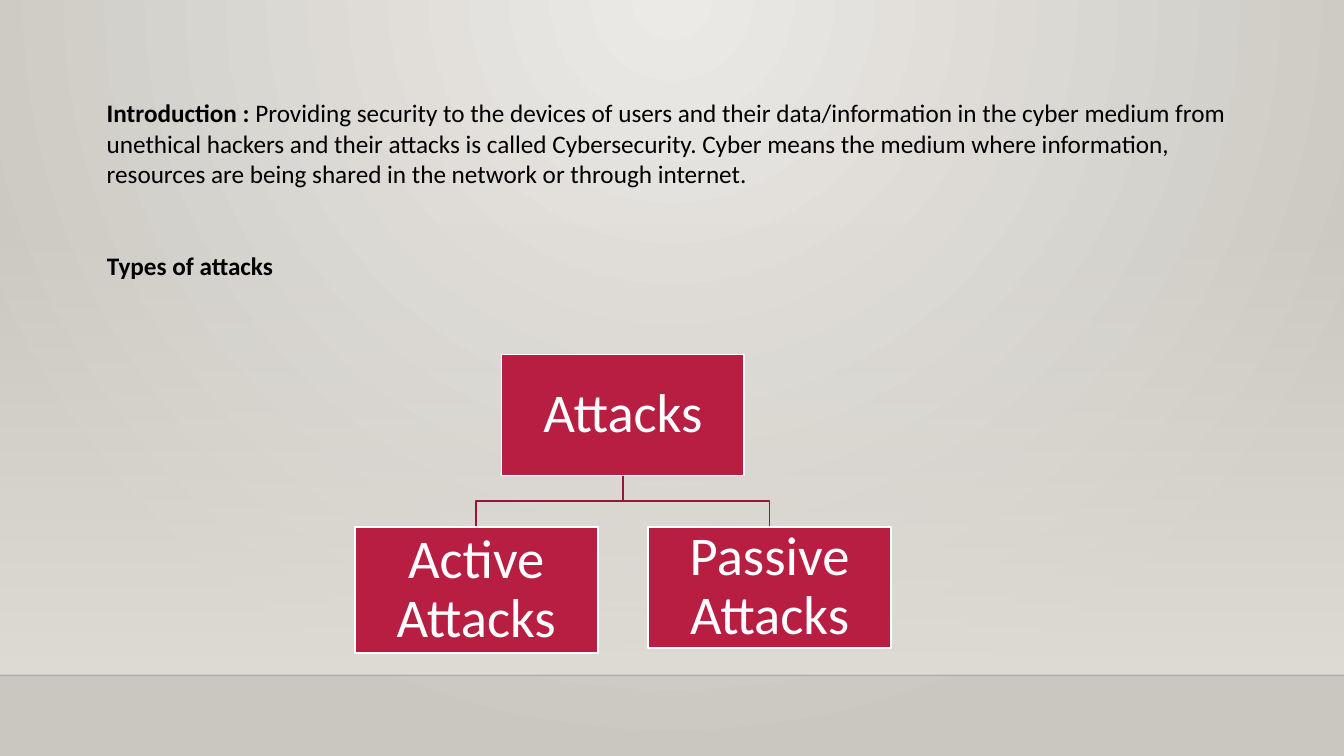
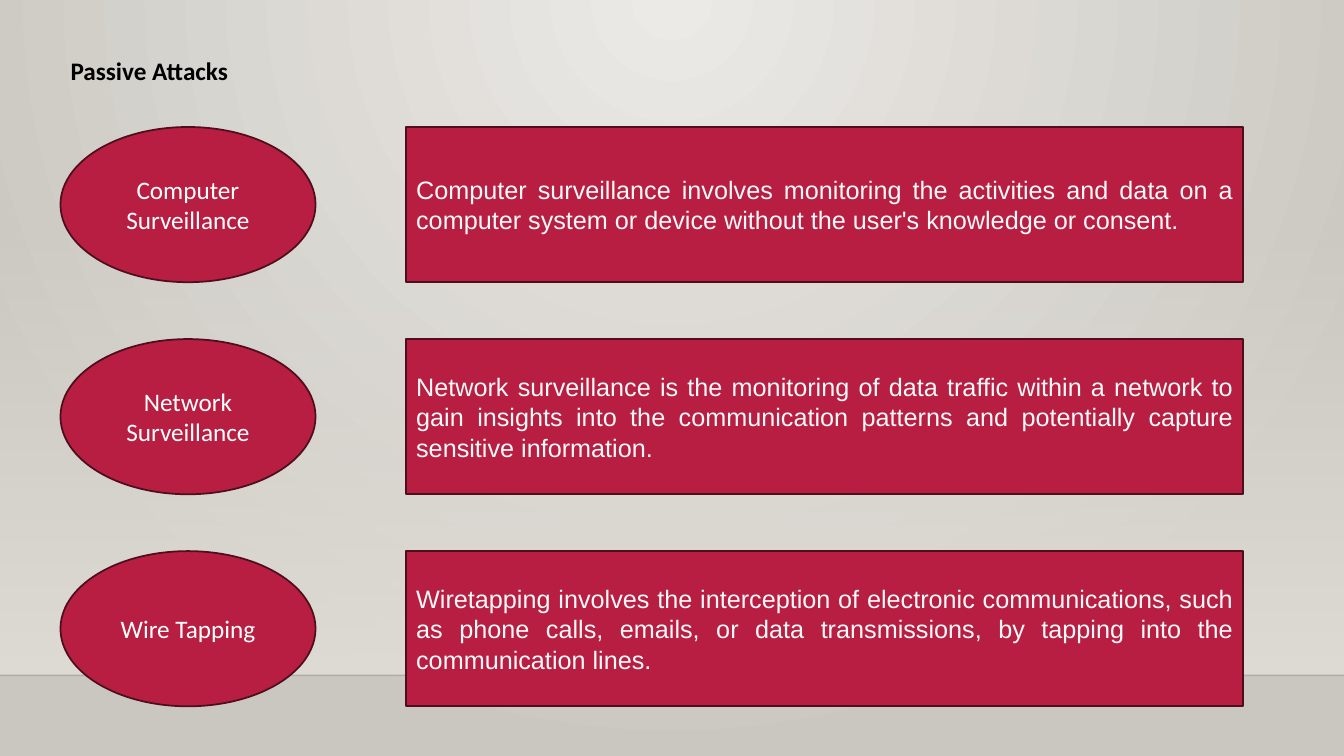
from dataclasses import dataclass

from lxml import etree
from pptx import Presentation
from pptx.dml.color import RGBColor
from pptx.enum.shapes import MSO_CONNECTOR, MSO_SHAPE
from pptx.enum.text import MSO_ANCHOR, MSO_AUTO_SIZE, PP_ALIGN
from pptx.oxml.ns import qn
from pptx.util import Inches, Pt

SLIDE_W, SLIDE_H = Inches(13.33), Inches(7.5)
TITLE_ONLY = 5

RECTANGLE, OVAL = MSO_SHAPE.RECTANGLE, MSO_SHAPE.OVAL
STRAIGHT = MSO_CONNECTOR.STRAIGHT
LEFT, CENTER, JUSTIFY = PP_ALIGN.LEFT, PP_ALIGN.CENTER, PP_ALIGN.JUSTIFY
TOP, MIDDLE = MSO_ANCHOR.TOP, MSO_ANCHOR.MIDDLE

BLACK = RGBColor(0x00, 0x00, 0x00)
WHITE = RGBColor(0xFF, 0xFF, 0xFF)
OFF_WHITE = RGBColor(0xF9, 0xF9, 0xF9)
CRIMSON = RGBColor(0xB7, 0x1E, 0x42)
DARK_CRIMSON = RGBColor(0x50, 0x0D, 0x1D)
BRANCH_CRIMSON = RGBColor(0x93, 0x18, 0x35)
GLOW = RGBColor(0xEC, 0xEA, 0xE7)
STONE = RGBColor(0xCA, 0xC7, 0xC1)
WALL = RGBColor(0xDF, 0xDB, 0xD5)
HORIZON = RGBColor(0x00, 0x00, 0x01)

OUTLINE_WIDTH = Pt(1.25)


@dataclass(frozen=True)
class Area:
    """A rectangle in percent of the slide's width and height."""
    x: float
    y: float
    w: float
    h: float

    def emu(self) -> tuple[int, int, int, int]:
        return across(self.x), down(self.y), across(self.w), down(self.h)


@dataclass(frozen=True)
class Attack:
    name: str
    meaning: str


PASSIVE_ATTACKS = [
    Attack("Computer Surveillance",
           "Computer surveillance involves monitoring the activities and data on a "
           "computer system or device without the user's knowledge or consent."),
    Attack("Network Surveillance",
           "Network surveillance is the monitoring of data traffic within a network to "
           "gain insights into the communication patterns and potentially capture "
           "sensitive information."),
    Attack("Wire Tapping",
           "Wiretapping involves the interception of electronic communications, such as "
           "phone calls, emails, or data transmissions, by tapping into the "
           "communication lines."),
]
INTRODUCTION = (
    "Providing security to the devices of users and their data/information in the cyber "
    "medium from unethical hackers and their attacks is called Cybersecurity. Cyber means "
    "the medium where information, resources are being shared in the network or through "
    "internet."
)


def across(percent: float) -> int:
    return round(SLIDE_W * percent / 100)


def down(percent: float) -> int:
    return round(SLIDE_H * percent / 100)


def set_alpha(fill_element, percent: int) -> None:
    """Set the opacity of the first colour inside the element."""
    color = next(fill_element.iter(qn("a:srgbClr")))
    etree.SubElement(color, qn("a:alpha")).set("val", str(percent * 1000))


def write(frame, text: str, *, size=18, font="Calibri", color=BLACK, bold=False,
          align=LEFT, anchor=TOP, wrap=True, spacing=None) -> None:
    """Append a formatted run to the frame's first paragraph."""
    frame.word_wrap = wrap
    frame.vertical_anchor = anchor
    paragraph = frame.paragraphs[0]
    paragraph.alignment = align
    if spacing:
        paragraph.line_spacing = spacing
    run = paragraph.add_run()
    run.text = text
    run.font.size, run.font.name, run.font.bold = Pt(size), font, bold
    run.font.color.rgb = color


def add_panel(slide, kind, area: Area, text: str, *, outline, **text_format):
    panel = slide.shapes.add_shape(kind, *area.emu())
    panel.shadow.inherit = False
    panel.fill.solid()
    panel.fill.fore_color.rgb = CRIMSON
    panel.line.color.rgb = outline
    panel.line.width = OUTLINE_WIDTH
    write(panel.text_frame, text, anchor=MIDDLE, **text_format)
    return panel


def add_branch(slide, *corners: tuple[float, float]) -> None:
    """Draw an open outline through the corners, given in percent."""
    start, *rest = [(across(x), down(y)) for x, y in corners]
    builder = slide.shapes.build_freeform(*start)
    builder.add_line_segments(rest, close=False)
    branch = builder.convert_to_shape()
    branch.shadow.inherit = False
    branch.fill.background()
    branch.line.color.rgb = BRANCH_CRIMSON
    branch.line.width = OUTLINE_WIDTH


def add_titled_slide(prs, title: str, area: Area):
    slide = prs.slides.add_slide(prs.slide_layouts[TITLE_ONLY])
    heading = slide.shapes.title
    heading.left, heading.top, heading.width, heading.height = area.emu()
    write(heading.text_frame, title, bold=True, wrap=False)
    heading.text_frame.auto_size = MSO_AUTO_SIZE.SHAPE_TO_FIT_TEXT
    return slide


def set_gradient(fill, first: RGBColor, last: RGBColor) -> None:
    fill.gradient()
    for stop, color in zip(fill.gradient_stops, (first, last)):
        stop.color.rgb = color


def build_backdrop(master, slide) -> None:
    """Give the master its glow, wall and horizon, drawn first on a slide."""
    set_gradient(master.background.fill, GLOW, STONE)
    glow = next(master.element.iter(qn("a:gradFill")))
    for linear in glow.findall(qn("a:lin")):
        glow.remove(linear)
    circle = etree.SubElement(glow, qn("a:path"))
    circle.set("path", "circle")
    focus = etree.SubElement(circle, qn("a:fillToRect"))
    for side, share in {"l": 43, "t": 0, "r": 43, "b": 100}.items():
        focus.set(side, str(share * 1000))

    wall = slide.shapes.add_shape(RECTANGLE, *Area(0, 29.47, 100, 59.87).emu())
    wall.shadow.inherit = False
    wall.line.fill.background()
    set_gradient(wall.fill, WALL, WALL)
    wall.fill.gradient_angle = 270
    set_alpha(wall.element.spPr, 0)

    horizon_y = down(89.33)
    horizon = slide.shapes.add_connector(STRAIGHT, 0, horizon_y, SLIDE_W, horizon_y)
    horizon.line.color.rgb = HORIZON
    horizon.line.width = Pt(1)
    etree.SubElement(horizon.element.spPr, qn("a:effectLst"))
    set_alpha(horizon.element.spPr, 20)

    tree = master.element.cSld.spTree
    for position, part in enumerate((wall, horizon)):
        next(part.element.iter(qn("p:cNvPr"))).set("id", str(101 + position))
        tree.insert(2 + position, part.element)


def build_attack_tree(slide) -> None:
    width, height = 18.08, 16
    center, pitch = 46.35, 21.83
    root_y, branch_y, child_y = 46.9, 66.3, 69.73
    left, right = center - pitch / 2, center + pitch / 2

    for middle in (right, left):
        add_branch(slide, (center, root_y + height), (center, branch_y),
                   (middle, branch_y), (middle, child_y))

    for text, middle, y, h in (("Attacks", center, root_y, height),
                               ("Active Attacks", left, child_y, 16.67),
                               ("Passive Attacks", right, child_y, height)):
        node = add_panel(slide, RECTANGLE, Area(middle - width / 2, y, width, h), text,
                         outline=WHITE, size=39, color=WHITE, align=CENTER, spacing=0.9)
        frame = node.text_frame
        frame.margin_left = frame.margin_right = Inches(0.03)
        frame.margin_top = frame.margin_bottom = Inches(0.03)


def build_introduction(slide) -> None:
    introduction = slide.shapes.add_textbox(*Area(7.2, 12.27, 85.6, 13.47).emu()).text_frame
    write(introduction, "Introduction : ", bold=True)
    write(introduction, INTRODUCTION)
    build_attack_tree(slide)


def build_passive_attacks(slide) -> None:
    first_y, pitch, height = 16.8, 28.05, 20.53
    for row, attack in enumerate(PASSIVE_ATTACKS):
        y = first_y + row * pitch
        add_panel(slide, OVAL, Area(4.5, y, 18.98, height), attack.name,
                  outline=DARK_CRIMSON, color=WHITE, align=CENTER)
        add_panel(slide, RECTANGLE, Area(30.23, y, 62.27, height), attack.meaning,
                  outline=DARK_CRIMSON, font="Arial", color=OFF_WHITE, align=JUSTIFY)


def main() -> None:
    prs = Presentation()
    prs.slide_width, prs.slide_height = SLIDE_W, SLIDE_H
    types = add_titled_slide(prs, "Types of attacks", Area(7.2, 32.4, 14.03, 5.33))
    build_backdrop(prs.slide_master, types)
    build_introduction(types)
    passive = add_titled_slide(prs, "Passive Attacks", Area(4.5, 6.67, 13.35, 5.33))
    build_passive_attacks(passive)
    prs.save("out.pptx")


if __name__ == "__main__":
    main()
